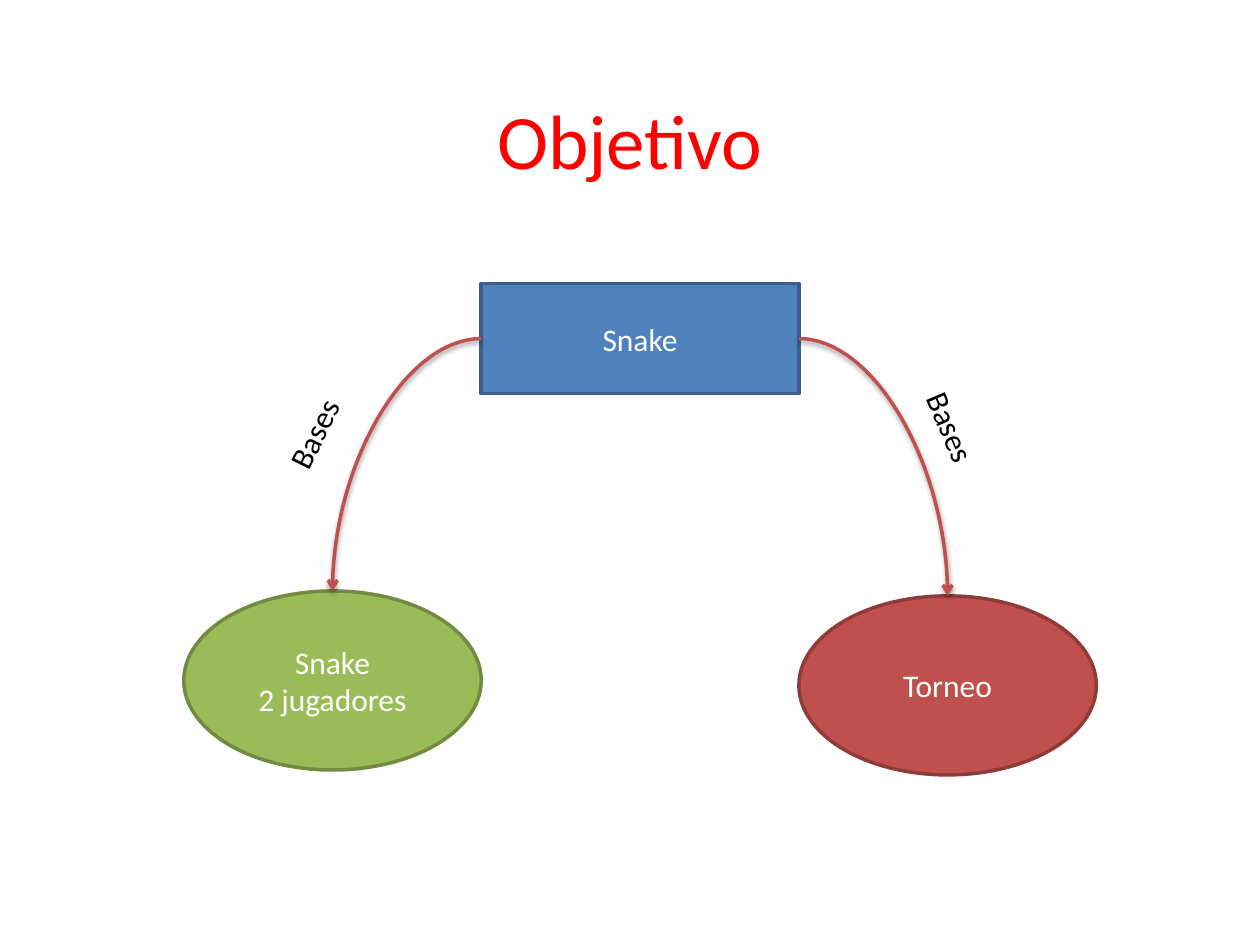
from lxml.etree import SubElement
from pptx import Presentation
from pptx.dml.color import RGBColor
from pptx.enum.shapes import MSO_CONNECTOR as Connector, MSO_SHAPE as Shape
from pptx.enum.text import MSO_ANCHOR as Anchor, MSO_AUTO_SIZE as AutoSize, PP_ALIGN as Align
from pptx.oxml import parse_xml
from pptx.oxml.ns import nsdecls, qn
from pptx.util import Pt

TITLE_ONLY = 5
TOP, LEFT, RIGHT = 0, 1, 3  # connection sites

SHADOW = f"""<a:effectLst {nsdecls('a')}>
  <a:outerShdw blurRad="{Pt(3.1)}" dist="{Pt(1.6)}" dir="5400000" rotWithShape="0">
    <a:srgbClr val="000000"><a:alpha val="38000"/></a:srgbClr>
  </a:outerShdw>
</a:effectLst>"""


def color(value):
    return RGBColor.from_string(value)


class DiagramSlide:
    font = "Calibri"
    size = 18
    line_width = 2

    def __init__(self, prs):
        self.slide = prs.slides.add_slide(prs.slide_layouts[TITLE_ONLY])

    def set_text(self, tf, text, rgb, size=None, align=Align.CENTER):
        tf.text = text
        for p in tf.paragraphs:
            p.alignment = align
            for r in p.runs:
                r.font.name = self.font
                r.font.size = Pt(size or self.size)
                r.font.color.rgb = color(rgb)

    def title(self, text, box, rgb, size):
        sp = self.slide.shapes.title
        sp.left, sp.top, sp.width, sp.height = map(Pt, box)
        sp.text_frame.vertical_anchor = Anchor.MIDDLE
        self.set_text(sp.text_frame, text, rgb, size)

    def node(self, kind, text, box, fill, line):
        sp = self.slide.shapes.add_shape(kind, *map(Pt, box))
        sp.shadow.inherit = False
        sp.fill.solid()
        sp.fill.fore_color.rgb = color(fill)
        sp.line.color.rgb = color(line)
        sp.line.width = Pt(self.line_width)
        sp.text_frame.vertical_anchor = Anchor.MIDDLE
        self.set_text(sp.text_frame, text, "FFFFFF")
        return sp

    def curved_arrow(self, start, start_site, end, end_site, rgb):
        cxn = self.slide.shapes.add_connector(Connector.CURVE, 0, 0, 0, 0)
        cxn.begin_connect(start, start_site)
        cxn.end_connect(end, end_site)
        cxn.line.color.rgb = color(rgb)
        cxn.line.width = Pt(self.line_width)
        props = cxn.element.spPr
        props.find(qn("a:prstGeom")).set("prst", "curvedConnector2")
        SubElement(props.find(qn("a:ln")), qn("a:tailEnd"), type="arrow")
        props.append(parse_xml(SHADOW))

    def label(self, text, box, rotation):
        sp = self.slide.shapes.add_textbox(*map(Pt, box))
        sp.rotation = rotation
        tf = sp.text_frame
        tf.word_wrap = False
        tf.auto_size = AutoSize.SHAPE_TO_FIT_TEXT
        self.set_text(tf, text, "000000", align=Align.LEFT)


def main():
    prs = Presentation()
    prs.slide_width, prs.slide_height = Pt(720), Pt(540)
    page = DiagramSlide(prs)

    page.title("Objetivo", (54, 21, 612, 116), "FF0000", 44)
    snake = page.node(Shape.RECTANGLE, "Snake", (275, 162, 181.5, 63), "4F81BD", "3A5F8C")
    players = page.node(Shape.OVAL, "Snake\n2 jugadores", (105, 337.7, 170, 102.3),
                        "9BBB59", "738A42")
    tournament = page.node(Shape.OVAL, "Torneo", (456.5, 340.5, 170, 102.3),
                           "C0504D", "8E3B39")
    for site, target in ((LEFT, players), (RIGHT, tournament)):
        page.curved_arrow(snake, site, target, TOP, "C0504D")
    for left, rotation in ((160, 296.3), (504, 66.9)):
        page.label("Bases", (left, 225, 60.5, 51), rotation)

    prs.save("out.pptx")


if __name__ == "__main__":
    main()
